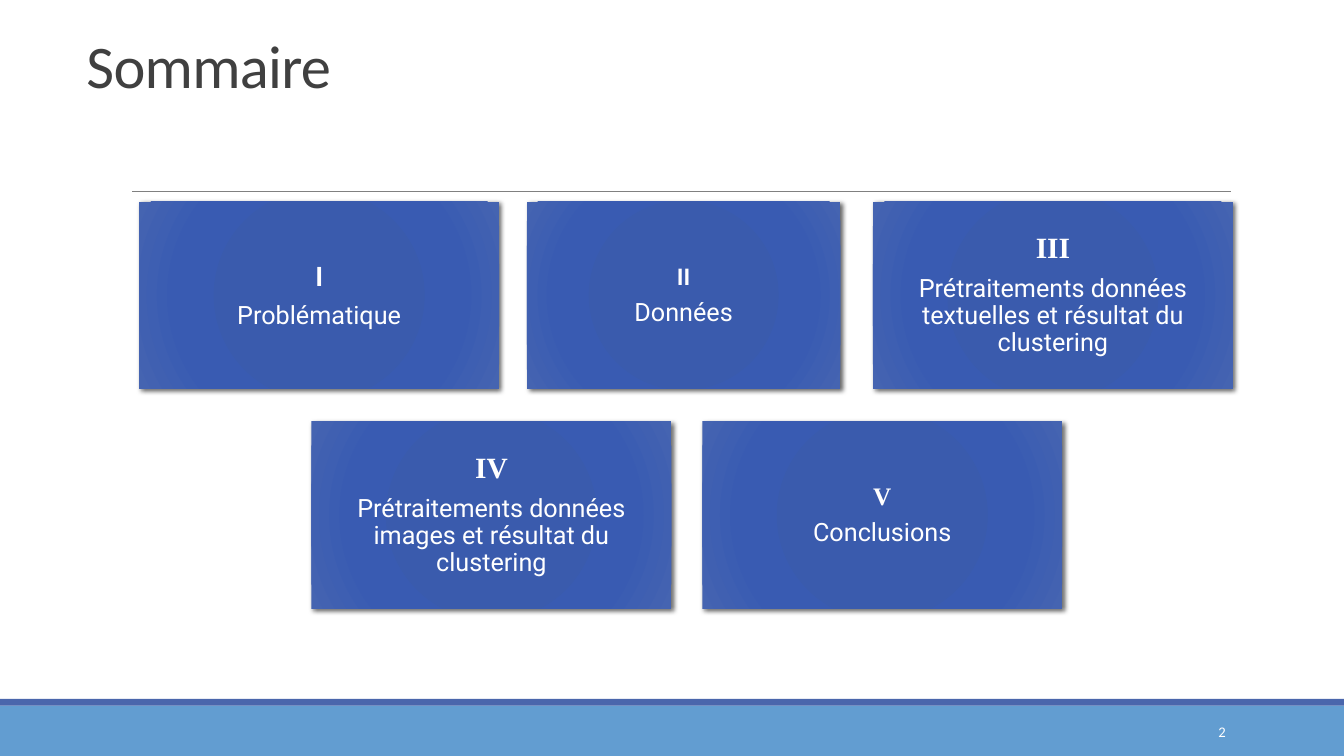
from lxml import etree
from pptx import Presentation
from pptx import util as u
from pptx.dml.color import RGBColor
from pptx.enum import shapes, text
from pptx.oxml import parse_xml
from pptx.oxml.ns import nsdecls, qn

SERIF = "Times New Roman"
GRADIENT = ((0, "3759AE"), (34, "3A5BAD"), (70, "395BB2"), (100, "4564B1"))
CARD_H = 4.72
CARD_ROWS = (
    # top, then left, width, numeral, numeral size, numeral font, label
    (5.08, (
        (3.51, 9.07, "I", 21, "Calibri", "Problématique"),
        (13.28, 7.9, "II", 18, "Calibri", "Données"),
        (22, 9.07, "III", 21, SERIF,
         "Prétraitements données textuelles et résultat du clustering"),
    )),
    (10.62, (
        (7.85, 9.07, "IV", 21, SERIF,
         "Prétraitements données images et résultat du clustering"),
        (17.7, 9.07, "V", 18, SERIF, "Conclusions"),
    )),
)


def color(value):
    return RGBColor.from_string(value)


def add_run(p, words, size, font, fill, bold=False):
    r = p.add_run()
    r.text = words
    r.font.size = u.Pt(size)
    r.font.name = font
    r.font.bold = bold
    r.font.color.rgb = color(fill)
    return r


def add_label(s, box, anchor):
    """Add a wrapping text box and return its first paragraph."""
    tf = s.shapes.add_textbox(*map(u.Cm, box)).text_frame
    tf.word_wrap = True
    tf.vertical_anchor = anchor
    return tf.paragraphs[0]


def add_bar(s, box, fill):
    sp = s.shapes.add_shape(shapes.MSO_SHAPE.RECTANGLE, *map(u.Cm, box))
    sp.shadow.inherit = False
    sp.fill.solid()
    sp.fill.fore_color.rgb = color(fill)
    sp.line.fill.background()


def add_footer(s, left, top, width, height):
    add_bar(s, (left, top, width, height), "629DD1")
    add_bar(s, (left, top - 0.17, width, 0.17), "4A66AC")
    p = add_label(s, (left + 27.51, top + 0.15, 3.63, 1.02),
                  text.MSO_ANCHOR.MIDDLE)
    p.alignment = text.PP_ALIGN.RIGHT
    add_run(p, "2", 10.5, "Calibri", "FFFFFF")


def add_heading(s, left, top, width, height):
    rule_y = top + 3.64
    rule = s.shapes.add_connector(
        shapes.MSO_CONNECTOR.STRAIGHT,
        u.Cm(left + 1.4), u.Cm(rule_y), u.Cm(left + 29.08), u.Cm(rule_y))
    rule.line.color.rgb = color("808080")
    rule.line.width = u.Pt(0.5)
    etree.SubElement(rule._element.spPr, qn("a:effectLst"))
    p = add_label(s, (left, top, width, height), text.MSO_ANCHOR.BOTTOM)
    p.line_spacing = 0.85
    r = add_run(p, "Sommaire", 43.2, "Calibri", "404040")
    r.font._element.set("spc", "-50")


def style_card(sp):
    """Give a card its radial gradient and soft shadow."""
    stops = "".join(
        f'<a:gs pos="{pos * 1000}"><a:srgbClr val="{value}"/></a:gs>'
        for pos, value in GRADIENT)
    sp._element.spPr.find(qn("a:prstGeom")).addnext(parse_xml(
        f'<a:gradFill {nsdecls("a")} rotWithShape="1"><a:gsLst>{stops}</a:gsLst>'
        '<a:path path="circle"><a:fillToRect l="100000" t="100000" '
        'r="100000" b="100000"/></a:path></a:gradFill>'))
    sp.line.fill.background()
    sp.shadow.inherit = False
    sp._element.spPr.find(qn("a:effectLst")).append(parse_xml(
        f'<a:outerShdw {nsdecls("a")} blurRad="44450" dist="25400" '
        'dir="2700000" algn="br" rotWithShape="0"><a:srgbClr val="000000">'
        '<a:alpha val="60000"/></a:srgbClr></a:outerShdw>'))


def add_card(s, box, numeral, size, font, label):
    sp = s.shapes.add_shape(shapes.MSO_SHAPE.RECTANGLE, *map(u.Cm, box))
    style_card(sp)
    tf = sp.text_frame
    tf.word_wrap = True
    tf.vertical_anchor = text.MSO_ANCHOR.MIDDLE
    tf.margin_left = tf.margin_right = u.Cm(0.2)
    tf.margin_top = tf.margin_bottom = u.Cm(0.23 if size > 18 else 0.18)
    for p, run in ((tf.paragraphs[0], (numeral, size, font, "FFFFFF", True)),
                   (tf.add_paragraph(), (label, 18, "Roboto", "FFFFFF"))):
        p.alignment = text.PP_ALIGN.CENTER
        p.line_spacing = 0.9
        after = etree.SubElement(p._p.get_or_add_pPr(), qn("a:spcAft"))
        etree.SubElement(after, qn("a:spcPct"), val="35000")
        add_run(p, *run)


def main():
    prs = Presentation()
    prs.slide_width, prs.slide_height = u.Cm(33.87), u.Cm(19.05)
    s = prs.slides.add_slide(prs.slide_layouts[6])
    add_footer(s, 0, 17.78, 33.87, 1.27)
    add_heading(s, 1.93, 1.19, 22.1, 1.47)
    for top, cards in CARD_ROWS:
        for left, width, *content in cards:
            add_card(s, (left, top, width, CARD_H), *content)
    prs.save("out.pptx")


if __name__ == "__main__":
    main()
